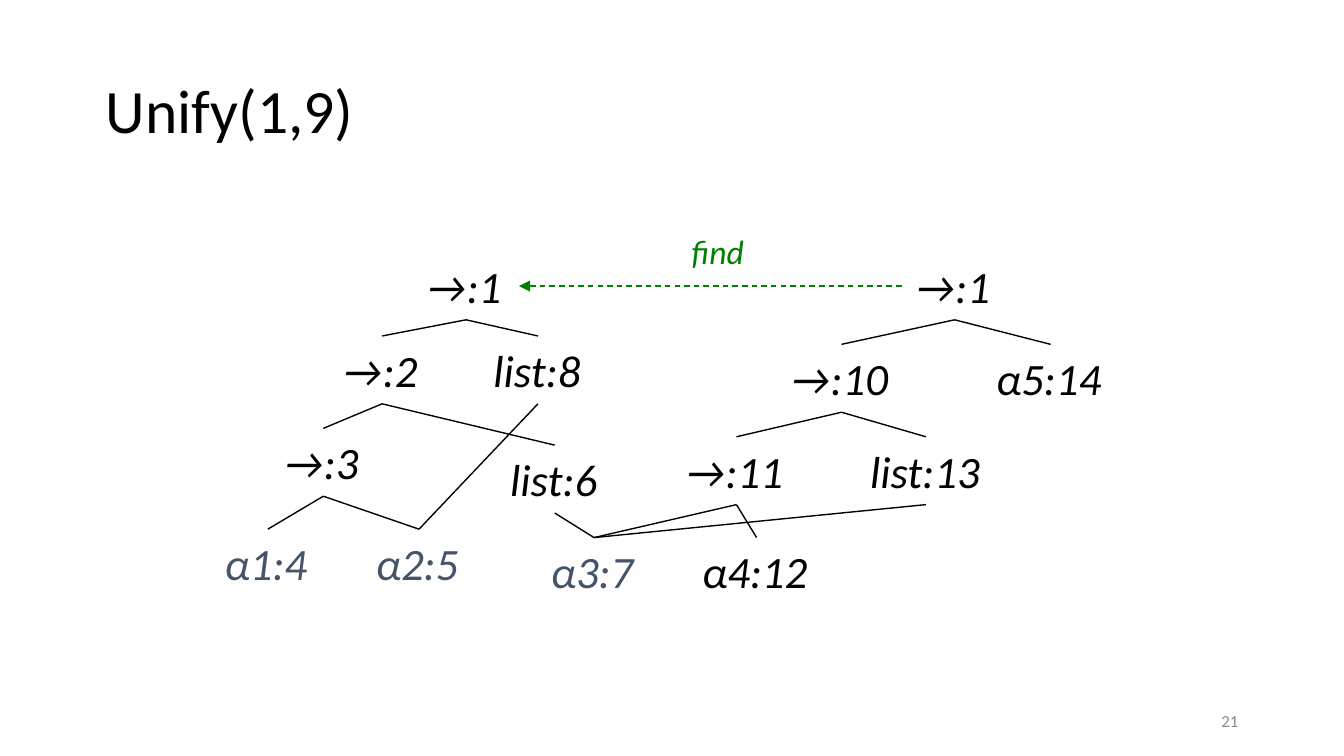
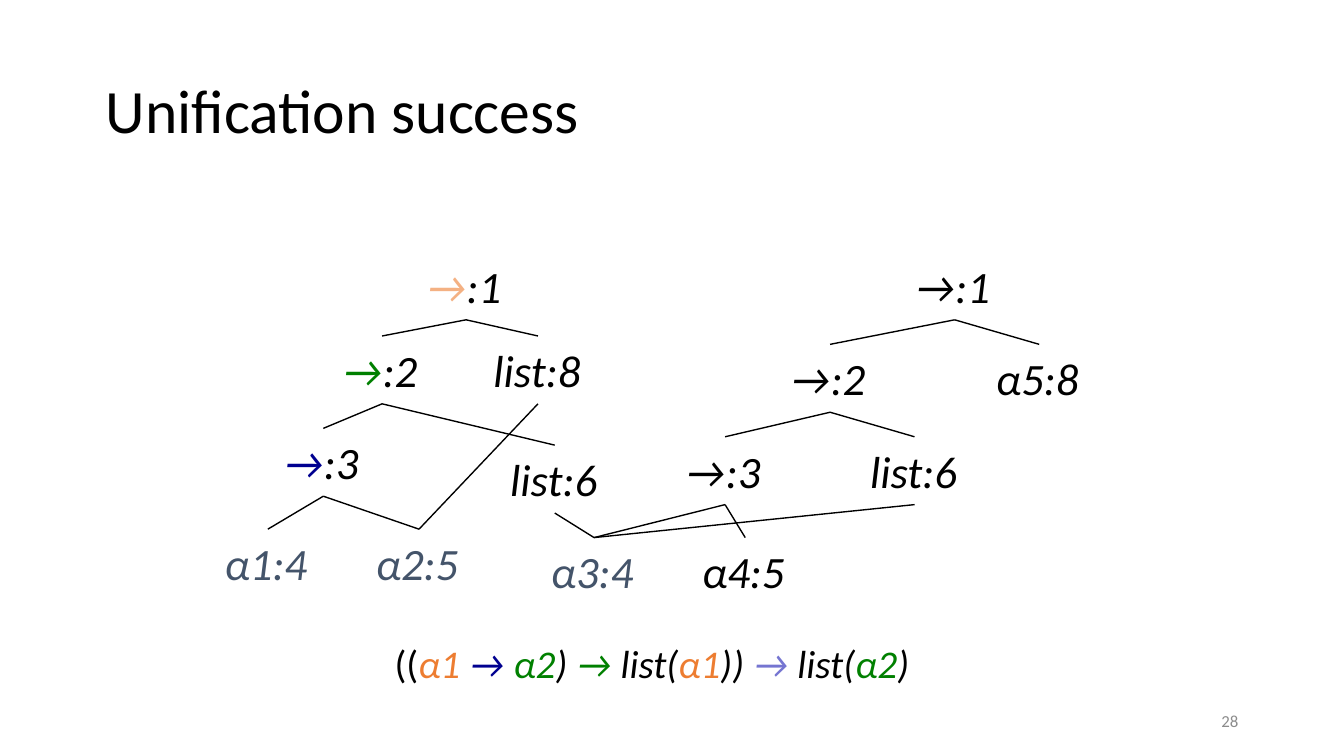
from typing import NamedTuple

from lxml.etree import SubElement
from pptx import Presentation
from pptx.dml.color import RGBColor
from pptx.enum.dml import MSO_LINE
from pptx.enum.shapes import MSO_CONNECTOR
from pptx.enum.text import MSO_ANCHOR as Anchor, MSO_AUTO_SIZE as AutoSize, PP_ALIGN as Align
from pptx.oxml.ns import qn
from pptx.slide import Slide
from pptx.util import Pt

# Shared style
FONT = "Calibri"
BLACK = RGBColor(0x00, 0x00, 0x00)
GREY = RGBColor(0x8C, 0x8C, 0x8C)
SLATE = RGBColor(0x44, 0x54, 0x6A)
GREEN = RGBColor(0x00, 0x80, 0x00)
NAVY = RGBColor(0x00, 0x00, 0x90)
LILAC = RGBColor(0x75, 0x75, 0xD1)
ORANGE = RGBColor(0xED, 0x7D, 0x31)
PEACH = RGBColor(0xF4, 0xB1, 0x83)

NODE_HEIGHT = 36.35
DIGIT_WIDTH = 12.2
SYMBOL_WIDTHS = {"→": 44.7, "α": 48.3, "list": 49.7}


class Span(NamedTuple):
    text: str
    color: RGBColor = BLACK
    italic: bool = True


class Frame(NamedTuple):
    left: float
    top: float
    width: float
    height: float


class Node(NamedTuple):
    symbol: str
    left: float
    top: float
    color: RGBColor = BLACK

    def frame(self, number: int) -> Frame:
        """The box around the label, which widens with the number's digits."""
        width = SYMBOL_WIDTHS[self.symbol.rstrip("12345")] + DIGIT_WIDTH * len(str(number))
        return Frame(self.left, self.top, width, NODE_HEIGHT)


class TreeSlide(NamedTuple):
    title: str
    page_number: int
    numbers: dict[str, int]
    arrow_colors: dict[str, RGBColor]


# Nodes of both trees, by role
NODES = {
    "right root": Node("→", 483, 135),
    "right arrow": Node("→", 416.25, 184.5),
    "a5": Node("α5", 526.5, 184.5),
    "right inner": Node("→", 360, 234),
    "a3": Node("α3", 288, 288, SLATE),
    "a4": Node("α4", 369, 288),
    "right list": Node("list", 459, 234),
    "left root": Node("→", 221.25, 135),
    "left arrow": Node("→", 176.25, 180),
    "result list": Node("list", 257.25, 180),
    "left inner": Node("→", 144.75, 229.5),
    "a1": Node("α1", 113.25, 283.5, SLATE),
    "a2": Node("α2", 194.25, 283.5, SLATE),
    "left list": Node("list", 266.25, 238.5),
}
CHILDREN = {
    "right root": ("right arrow", "a5"),
    "right arrow": ("right inner", "right list"),
    "right inner": ("a3", "a4"),
    "right list": ("a3",),
    "left root": ("left arrow", "result list"),
    "left arrow": ("left inner", "left list"),
    "left inner": ("a1", "a2"),
    "result list": ("a2",),
    "left list": ("a3",),
}
LEFT_NUMBERS = {
    "left root": 1, "left arrow": 2, "left inner": 3, "a1": 4,
    "a2": 5, "left list": 6, "result list": 8,
}

UNIFY = TreeSlide(
    "Unify(1,9)", 21,
    LEFT_NUMBERS | {"a3": 7, "right root": 1, "right arrow": 10, "right inner": 11,
                    "a4": 12, "right list": 13, "a5": 14},
    {},
)
SUCCESS = TreeSlide(
    "Unification success", 28,
    LEFT_NUMBERS | {"a3": 4, "right root": 1, "right arrow": 2, "right inner": 3,
                    "a4": 5, "right list": 6, "a5": 8},
    {"left root": PEACH, "left arrow": GREEN, "left inner": NAVY},
)
FORMULA = [
    Span("((", italic=False), Span("α1 ", ORANGE), Span("→ ", NAVY), Span("α2", GREEN),
    Span(") "), Span("→ ", GREEN), Span("list("), Span("α1", ORANGE), Span(")) "),
    Span("→", LILAC), Span(" list("), Span("α2", GREEN), Span(")"),
]


def add_text(page: Slide, frame: Frame, spans: list[Span], size: float,
             align: Align = Align.LEFT, anchor: Anchor = Anchor.MIDDLE,
             wrap: bool = False, line_spacing: float = 1.0) -> None:
    box = page.shapes.add_textbox(*map(Pt, frame))
    body = box.text_frame
    body.word_wrap = wrap
    body.auto_size = AutoSize.NONE if wrap else AutoSize.SHAPE_TO_FIT_TEXT
    body.vertical_anchor = anchor
    para = body.paragraphs[0]
    para.alignment = align
    para.line_spacing = line_spacing
    for span in spans:
        run = para.add_run()
        run.text = span.text
        run.font.name = FONT
        run.font.size = Pt(size)
        run.font.italic = span.italic
        run.font.color.rgb = span.color


def add_line(page: Slide, start: tuple[float, float], end: tuple[float, float],
             color: RGBColor = BLACK, dashed_arrow: bool = False) -> None:
    line = page.shapes.add_connector(MSO_CONNECTOR.STRAIGHT, *map(Pt, start + end))
    line.line.color.rgb = color
    line.line.width = Pt(0.75)
    if dashed_arrow:
        line.line.dash_style = MSO_LINE.DASH
        SubElement(line.line._get_or_add_ln(), qn("a:tailEnd"), type="triangle")
    SubElement(line._element.spPr, qn("a:effectLst"))


def add_tree_slide(deck: Presentation, content: TreeSlide) -> Slide:
    page = deck.slides.add_slide(deck.slide_layouts[6])

    # Title and page number
    add_text(page, Frame(49.5, 21.5, 621, 78.5), [Span(content.title, italic=False)], 33,
             wrap=True, line_spacing=0.9)
    add_text(page, Frame(508.5, 375.4, 162, 21.5),
             [Span(str(content.page_number), GREY, False)], 9, Align.RIGHT, wrap=True)

    # Node labels
    frames = {role: node.frame(content.numbers[role]) for role, node in NODES.items()}
    for role, node in NODES.items():
        number = f":{content.numbers[role]}"
        if role in content.arrow_colors:
            spans = [Span(node.symbol, content.arrow_colors[role]), Span(number)]
        else:
            spans = [Span(node.symbol + number, node.color)]
        add_text(page, frames[role], spans, 24, anchor=Anchor.TOP)

    # Edges, from the bottom of a parent to the top of its child
    for parent, children in CHILDREN.items():
        above = frames[parent]
        start = (above.left + above.width / 2, above.top + above.height)
        for child in children:
            below = frames[child]
            add_line(page, start, (below.left + below.width / 2, below.top))
    return page


def main() -> None:
    deck = Presentation()
    deck.slide_width, deck.slide_height = Pt(720), Pt(405)

    # Unify step with its find arrow
    page = add_tree_slide(deck, UNIFY)
    add_line(page, (483, 153.25), (278, 153.25), GREEN, dashed_arrow=True)
    add_text(page, Frame(363, 120.25, 43, 29), [Span("find", GREEN)], 18, Align.CENTER)

    # Final result with the unified type
    page = add_tree_slide(deck, SUCCESS)
    add_text(page, Frame(197.25, 341.5, 304, 30), FORMULA, 21, Align.CENTER, line_spacing=0.9)

    deck.save("out.pptx")


if __name__ == "__main__":
    main()
